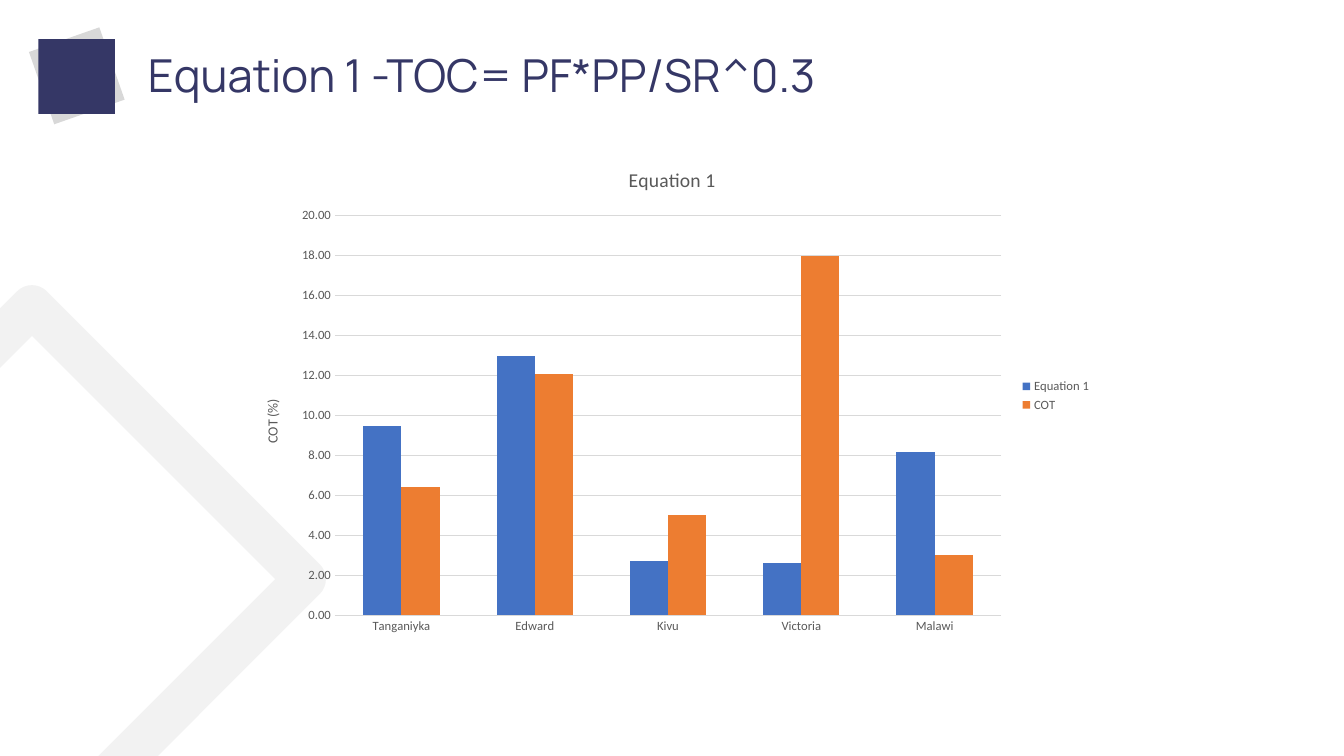
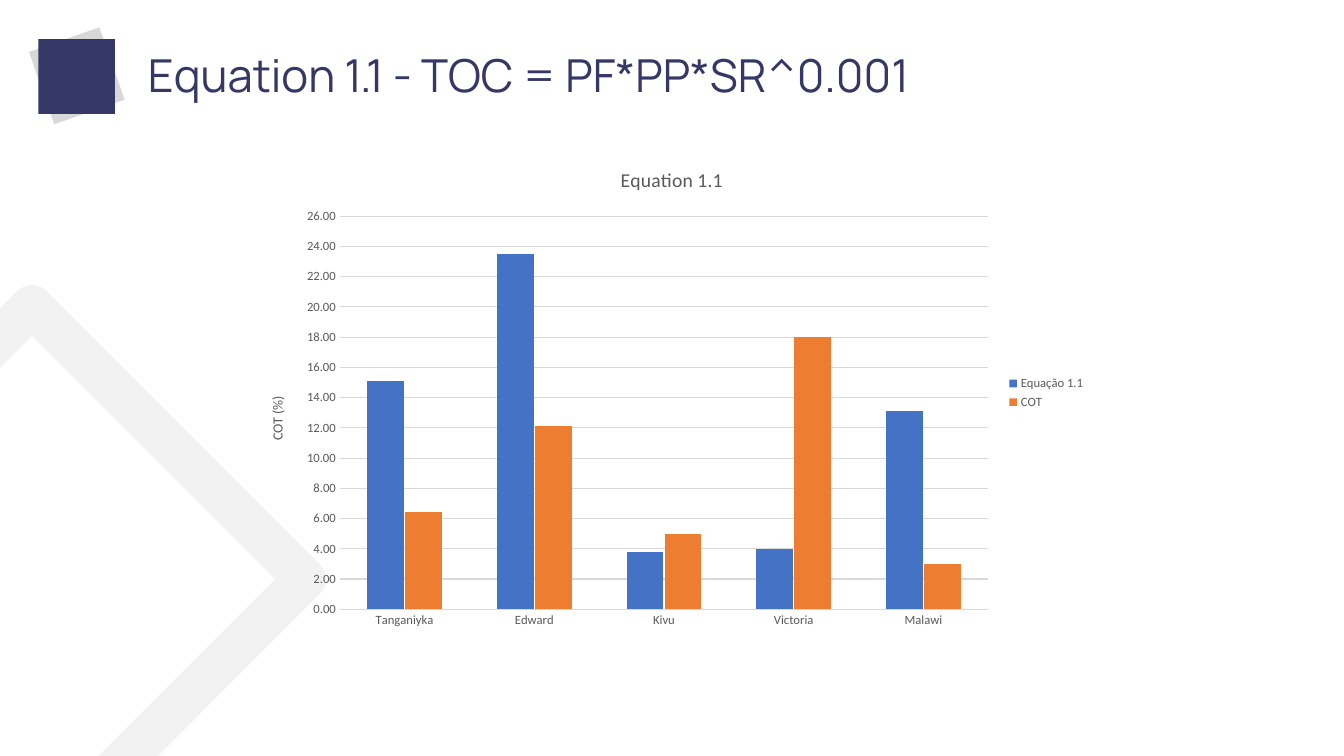
from lxml.etree import SubElement
from pptx import Presentation
from pptx.chart.data import CategoryChartData
from pptx.dml.color import RGBColor
from pptx.enum.chart import XL_CHART_TYPE as ChartType, XL_LEGEND_POSITION as LegendPosition
from pptx.enum.chart import XL_TICK_MARK as TickMark
from pptx.enum.shapes import MSO_SHAPE as Shape
from pptx.enum.text import MSO_ANCHOR as Anchor
from pptx.oxml.ns import qn
from pptx.util import Cm, Pt

NAVY, SILVER, PALE = "353766", "D8D8D8", "F2F2F2"
GRID, CHART_TEXT = "D9D9D9", "595959"
SERIES_COLOURS = ["4472C4", "ED7D31"]
LAKES = ["Tanganiyka", "Edward", "Kivu", "Victoria", "Malawi"]
MEASURED = [6.4, 12.1, 5, 18, 3]

# left, top, width, height, rotation, fill, outline
DECOR = [
    (-4.06, 9.73, 9.73, 9.73, 45, None, PALE),
    (0.97, 0.97, 1.93, 1.88, 70.7, SILVER, None),
    (0.97, 0.99, 1.93, 1.88, 0, NAVY, None),
]
PAGES = [
    {"title": "Equation 1 -TOC= PF*PP/SR^0.3", "chart": "Equation 1",
     "series": "Equation 1", "values": [9.5, 13, 2.7, 2.6, 8.2],
     "place": (6.12, 3.71, 21.64, 12.52), "top": 20, "overlap": 0},
    {"title": "Equation 1.1 - TOC = PF*PP*SR^0.001", "chart": "Equation 1.1",
     "series": "Equação 1.1", "values": [15.1, 23.5, 3.8, 4, 13.1],
     "place": (6.25, 3.73, 21.36, 12.34), "top": 26, "overlap": -3},
]


def rgb(colour):
    return RGBColor.from_string(colour)


def style_font(font, size, colour=CHART_TEXT, name="Calibri"):
    for key, value in {"size": Pt(size), "name": name, "bold": False}.items():
        setattr(font, key, value)
    font.color.rgb = rgb(colour)


deck = Presentation()
deck.slide_width, deck.slide_height = Cm(33.87), Cm(19.05)

for content in PAGES:
    page = deck.slides.add_slide(deck.slide_layouts[6])

    for *place, rotation, fill, outline in DECOR:
        square = page.shapes.add_shape(Shape.RECTANGLE, *map(Cm, place))
        square.shadow.inherit = False
        square.rotation = rotation
        if fill:
            square.fill.solid()
            square.fill.fore_color.rgb = rgb(fill)
        else:
            square.fill.background()
        if outline:
            square.line.color.rgb = rgb(outline)
            square.line.width = Pt(30)
            SubElement(square.line._get_or_add_ln(), qn("a:round"))
        else:
            square.line.fill.background()

    box = page.shapes.add_textbox(Cm(3.48), Cm(1.02), Cm(28.07), Cm(1.88))
    box.text_frame.word_wrap = True
    box.text_frame.vertical_anchor = Anchor.MIDDLE
    para = box.text_frame.paragraphs[0]
    para.line_spacing = 0.9
    span = para.add_run()
    span.text = content["title"]
    style_font(span.font, 32.4, NAVY, "Manrope")

    data = CategoryChartData(number_format="0.00")
    data.categories = LAKES
    data.add_series(content["series"], content["values"])
    data.add_series("COT", MEASURED)
    chart = page.shapes.add_chart(
        ChartType.COLUMN_CLUSTERED, *map(Cm, content["place"]), data).chart
    style_font(chart.font, 9)
    lakes, percent = chart.category_axis, chart.value_axis

    for owner, text, size in [(chart, content["chart"], 14), (percent, "COT (%)", 10)]:
        heading = (owner.chart_title if owner is chart else owner.axis_title).text_frame
        heading.text = text
        style_font(heading.paragraphs[0].runs[0].font, size)

    chart.has_legend = True
    chart.legend.position = LegendPosition.RIGHT
    chart.legend.include_in_layout = False
    style_font(chart.legend.font, 9)

    for axis in (lakes, percent):
        axis.major_tick_mark = axis.minor_tick_mark = TickMark.NONE
        style_font(axis.tick_labels.font, 9)
    for key, value in {"minimum_scale": 0, "maximum_scale": content["top"],
                       "major_unit": 2, "has_major_gridlines": True}.items():
        setattr(percent, key, value)
    percent.tick_labels.number_format = "0.00"
    percent.tick_labels.number_format_is_linked = False
    percent.format.line.fill.background()
    for line in (lakes.format.line, percent.major_gridlines.format.line):
        line.color.rgb = rgb(GRID)
        line.width = Pt(0.75)

    plot = chart.plots[0]
    plot.vary_by_categories = False
    plot.gap_width = 150
    plot.overlap = content["overlap"]
    for series, colour in zip(plot.series, SERIES_COLOURS):
        series.format.fill.solid()
        series.format.fill.fore_color.rgb = rgb(colour)

deck.save("out.pptx")
